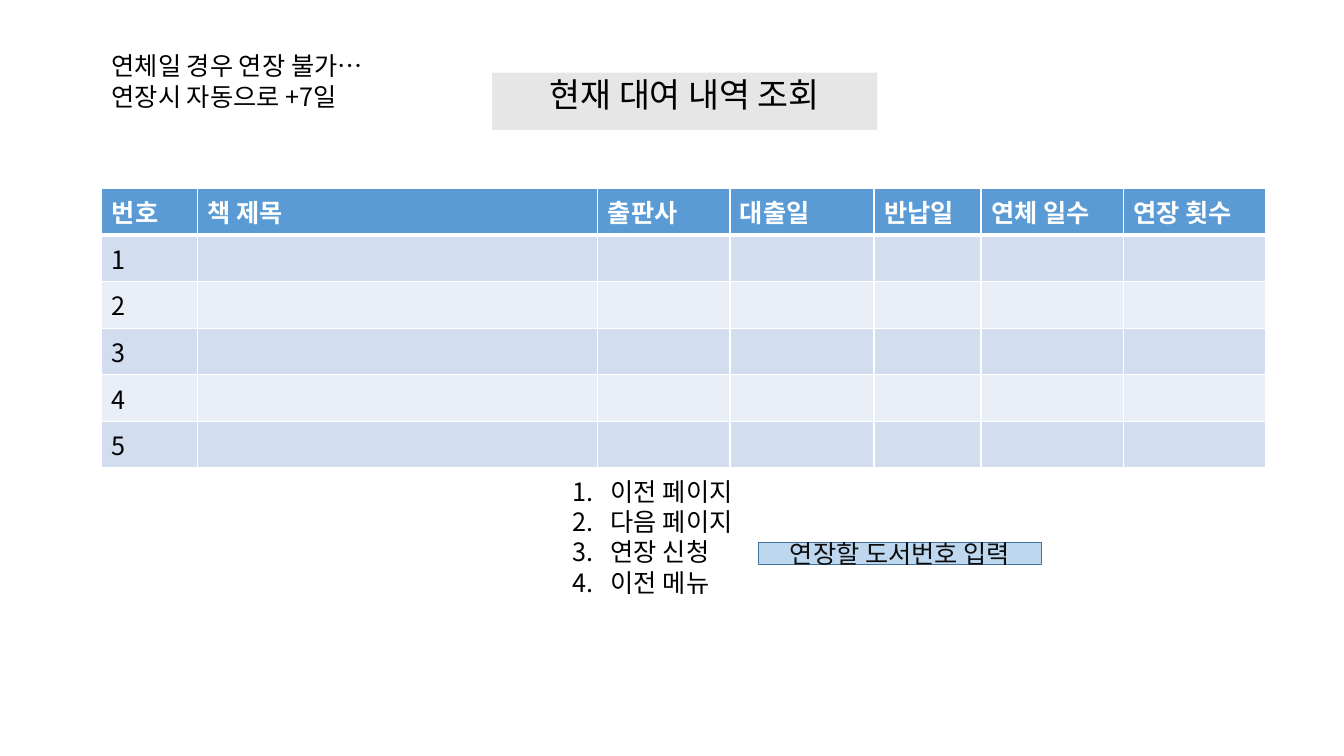
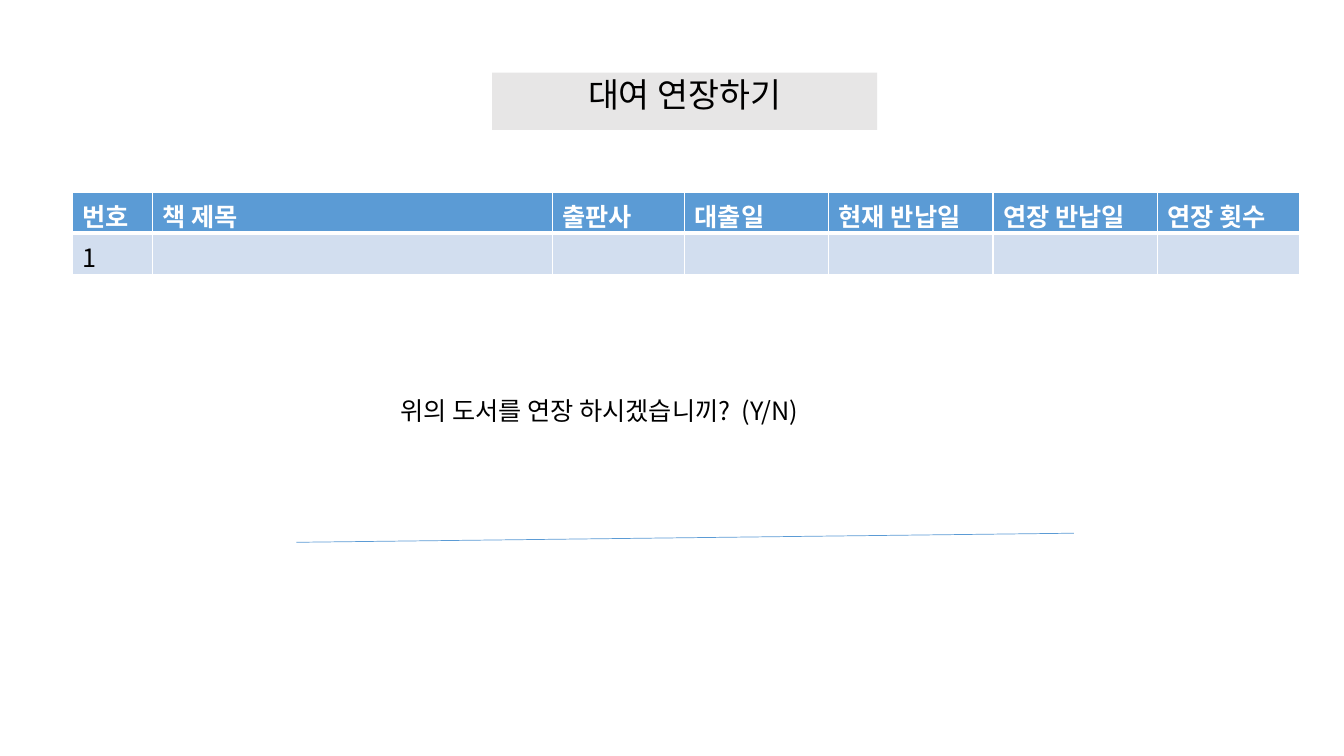
from lxml.etree import SubElement
from pptx import Presentation
from pptx.dml.color import RGBColor
from pptx.enum.shapes import MSO_CONNECTOR as Connector, MSO_SHAPE as Shape
from pptx.enum.text import MSO_ANCHOR as Anchor, PP_ALIGN as Align
from pptx.oxml.ns import qn
from pptx.util import Inches, Pt

BLACK = RGBColor(0x00, 0x00, 0x00)
INK = RGBColor(0x0D, 0x0D, 0x0D)
WHITE = RGBColor(0xFF, 0xFF, 0xFF)
GREY = RGBColor(0xE7, 0xE6, 0xE6)
BLUE = RGBColor(0x5B, 0x9B, 0xD5)
BANDS = (RGBColor(0xD2, 0xDE, 0xEF), RGBColor(0xEA, 0xEF, 0xF7))
PALE = RGBColor(0xBD, 0xD7, 0xEE)
EDGE = RGBColor(0x43, 0x73, 0x9E)
FONT = "Noto Sans CJK KR"

TITLE_BOX = (4.88, 0.72, 3.82, 0.57)
HEAD_H, ROW_H = 0.3, 0.41

LOANS = {
    "title": "현재 대여 내역 조회",
    "at": (1.01, 1.87),
    "columns": [("번호", 0.95), ("책 제목", 3.97), ("출판사", 1.31), ("대출일", 1.43),
                ("반납일", 1.06), ("연체 일수", 1.41), ("연장 횟수", 1.41)],
    "rows": 5,
}
EXTENSION = {
    "title": "대여 연장하기",
    "at": (0.72, 1.91),
    "columns": [("번호", 0.79), ("책 제목", 3.97), ("출판사", 1.31), ("대출일", 1.43),
                ("현재 반납일", 1.63), ("연장 반납일", 1.63), ("연장 횟수", 1.41)],
    "rows": 1,
}
MENU = ["이전 페이지", "다음 페이지", "연장 신청", "이전 메뉴 "]
RULES = ["연체일 경우 연장 불가…", "연장시 자동으로 +7일"]
PROMPT = "연장할 도서번호 입력"
QUESTION = "위의 도서를 연장 하시겠습니끼?  (Y/N)"


def write(p, text, size=18, color=BLACK, bold=False):
    r = p.add_run()
    r.text = text
    for name, value in {"name": FONT, "size": Pt(size), "bold": bold}.items():
        setattr(r.font, name, value)
    r.font.color.rgb = color
    SubElement(r.font._element, qn("a:ea"), typeface=FONT)


def fill_text(s, lines, pitch=21.7, align=Align.LEFT, anchor=Anchor.TOP,
              numbered=False, **style):
    tf = s.text_frame
    tf.word_wrap = True
    tf.vertical_anchor = anchor
    for i, line in enumerate(lines):
        p = tf.add_paragraph() if i else tf.paragraphs[0]
        p.alignment = align
        p.line_spacing = Pt(pitch)
        if numbered:
            pPr = p._p.get_or_add_pPr()
            pPr.set("marL", str(Inches(0.38)))
            pPr.set("indent", str(-Inches(0.38)))
            SubElement(pPr, qn("a:buFont"), typeface=FONT)
            SubElement(pPr, qn("a:buAutoNum"), type="arabicPeriod")
        write(p, line, **style)


def add_text(slide, box, lines, **style):
    fill_text(slide.shapes.add_textbox(*map(Inches, box)), lines, **style)


def add_box(slide, box, text, fill, line=None, **style):
    s = slide.shapes.add_shape(Shape.RECTANGLE, *map(Inches, box))
    s.shadow.inherit = False
    s.fill.solid()
    s.fill.fore_color.rgb = fill
    if line is None:
        s.line.fill.background()
    else:
        s.line.color.rgb = line
        s.line.width = Pt(1)
    fill_text(s, [text], align=Align.CENTER, **style)


def format_cell(cell, fill, top=1, bottom=1):
    tcPr = cell._tc.get_or_add_tcPr()
    for side, width in {"L": 1, "R": 1, "T": top, "B": bottom}.items():
        ln = SubElement(tcPr, qn("a:ln" + side), w=str(Pt(width)))
        SubElement(SubElement(ln, qn("a:solidFill")), qn("a:srgbClr"), val=str(WHITE))
    cell.fill.solid()
    cell.fill.fore_color.rgb = fill


def add_grid(slide, at, columns, rows):
    width = sum(w for _, w in columns)
    box = (*at, width, HEAD_H + rows * ROW_H)
    table = slide.shapes.add_table(rows + 1, len(columns), *map(Inches, box)).table
    for i, row in enumerate(table.rows):
        row.height = Inches(ROW_H if i else HEAD_H)
    for j, (label, w) in enumerate(columns):
        table.columns[j].width = Inches(w)
        head = table.cell(0, j)
        format_cell(head, BLUE, bottom=3)
        write(head.text_frame.paragraphs[0], label, color=WHITE, bold=True)
        for i in range(1, rows + 1):
            format_cell(table.cell(i, j), BANDS[(i - 1) % 2], top=3 if i == 1 else 1)
    for i in range(1, rows + 1):
        write(table.cell(i, 0).text_frame.paragraphs[0], str(i))


def add_page(prs, title, **grid):
    slide = prs.slides.add_slide(prs.slide_layouts[6])
    add_box(slide, TITLE_BOX, title, GREY, size=24, pitch=26)
    add_grid(slide, **grid)
    return slide


prs = Presentation()
prs.slide_width, prs.slide_height = Inches(13.33), Inches(7.5)

loans = add_page(prs, **LOANS)
add_text(loans, (5.58, 4.67, 1.93, 1.31), MENU, numbered=True)
add_box(loans, (7.52, 5.38, 2.81, 0.22), PROMPT, PALE, EDGE, color=INK, anchor=Anchor.MIDDLE)
add_text(loans, (1.01, 0.45, 3.18, 0.71), RULES)

extension = add_page(prs, **EXTENSION)
add_text(extension, (3.87, 3.87, 5.85, 0.4), [QUESTION])
rule = extension.shapes.add_connector(Connector.STRAIGHT, *map(Inches, (2.94, 5.38, 10.65, 5.29)))
rule.line.color.rgb = BLUE
rule.line.width = Pt(0.5)
SubElement(rule._element.spPr, qn("a:effectLst"))

prs.save("out.pptx")
